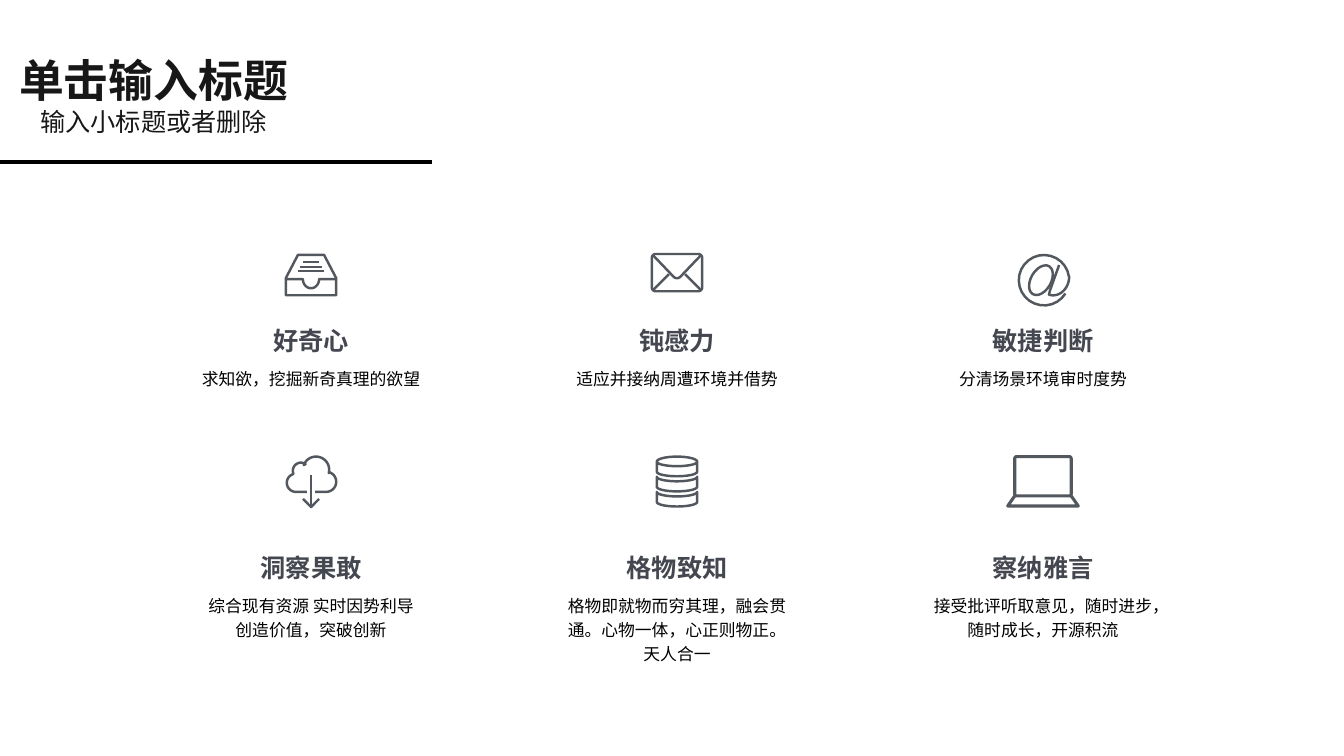
"""Build a slide with six personal qualities, each with a line icon, a heading and a note."""
from dataclasses import dataclass
from math import cos, radians, sin

from lxml.etree import SubElement
from pptx import Presentation
from pptx.dml.color import RGBColor
from pptx.enum.shapes import MSO_CONNECTOR
from pptx.enum.text import MSO_ANCHOR, MSO_AUTO_SIZE, PP_ALIGN
from pptx.oxml.ns import qn
from pptx.slide import Slide
from pptx.text.text import TextFrame
from pptx.util import Inches, Pt

Point = tuple[float, float]
Contour = list[Point]


@dataclass(frozen=True)
class Theme:
    font: str = "Arial"
    title: RGBColor = RGBColor(0x18, 0x17, 0x17)
    heading: RGBColor = RGBColor(0x44, 0x47, 0x4F)
    text: RGBColor = RGBColor(0, 0, 0)
    icon: RGBColor = RGBColor(0x53, 0x58, 0x5F)
    title_size: int = 32
    heading_size: int = 18
    note_size: int = 12


@dataclass(frozen=True)
class Icon:
    contours: list[Contour]
    weight: float = 1.75


@dataclass(frozen=True)
class Quality:
    heading: str
    note: str
    icon: Icon


@dataclass(frozen=True)
class Row:
    icon_top: float
    heading_top: float
    note_height: float


THEME = Theme()
FIRST_CENTER, COLUMN_STEP = 3.085, 3.63
ROWS = [Row(2.51, 3.14, 0.34), Row(4.51, 5.39, 0.58)]


def arc(x: float, y: float, radius_x: float, radius_y: float,
        start: int, end: int, tilt: int = 0) -> Contour:
    """Return points along an elliptical arc, with angles running clockwise."""
    steps = 24
    turn = radians(tilt)
    points = []
    for step in range(steps + 1):
        angle = radians(start + (end - start) * step / steps)
        across, down = radius_x * cos(angle), radius_y * sin(angle)
        points.append((x + across * cos(turn) - down * sin(turn),
                       y + across * sin(turn) + down * cos(turn)))
    return points


def rounded_box(half_width: float, top: float, bottom: float, radius: float) -> Contour:
    """Return a closed rounded rectangle centred on the vertical axis."""
    side = half_width - radius
    corners = [(side, bottom - radius), (-side, bottom - radius),
               (-side, top + radius), (side, top + radius)]
    points = [point for index, (x, y) in enumerate(corners)
              for point in arc(x, y, radius, radius, 90 * index, 90 * index + 90)]
    return points + points[:1]


def mirror(contour: Contour) -> Contour:
    """Reflect a contour in the vertical axis."""
    return [(-x, y) for x, y in contour]


def disk(top: float, bottom: float) -> Contour:
    """Return the curved side of one storage disk."""
    side = arc(0, top, 0.2, 0.045, 0, 180) + arc(0, bottom, 0.2, 0.045, 180, 0)
    return side + side[:1]


TRAY = Icon([
    [(-0.25, 0.42), (-0.25, 0.25), (-0.13, 0.02), (0.13, 0.02),
     (0.25, 0.25), (0.25, 0.42), (-0.25, 0.42)],
    [(-0.25, 0.26), *arc(0, 0.26, 0.08, 0.09, 180, 0), (0.25, 0.26)],
    *[[(-half, y), (half, y)] for half, y in [(0.13, 0.18), (0.11, 0.14), (0.08, 0.09)]],
])
FOLD = [(-0.24, 0.37), (-0.08, 0.21)]
ENVELOPE = Icon([
    rounded_box(0.25, 0.01, 0.38, 0.04), FOLD, mirror(FOLD),
    [(-0.24, 0.02), *arc(0, 0.22, 0.04, 0.03, 150, 30), (0.24, 0.02)],
])
AT_SIGN = Icon([
    arc(0.01, 0.27, 0.25, 0.25, 32, 352) + arc(0.1, 0.23, 0.16, 0.19, 0, 105)
    + [(0.07, 0.37), (0.16, 0.12)],
    arc(-0.02, 0.27, 0.1, 0.16, 0, 360, 30),
])
CLOUD = Icon([
    [(-0.04, 0.37), *arc(-0.15, 0.28, 0.09, 0.09, 90, 250),
     *arc(-0.1, 0.16, 0.08, 0.08, 160, 305), *arc(0.05, 0.15, 0.13, 0.13, 200, 375),
     *arc(0.15, 0.27, 0.1, 0.1, 290, 450), (0.04, 0.37)],
    [(0, 0.2), (0, 0.51)],
    [(-0.08, 0.44), (0, 0.52), (0.08, 0.44)],
])
DATABASE = Icon([arc(0, 0.07, 0.2, 0.05, 180, 360),
                 *[disk(top, top + 0.1) for top in (0.07, 0.22, 0.37)]])
LAPTOP = Icon([
    rounded_box(0.28, 0.02, 0.41, 0.02),
    [(-0.28, 0.41), (-0.35, 0.51), (0.35, 0.51), (0.28, 0.41)],
], 2.25)

QUALITIES = [
    Quality("好奇心", "求知欲，挖掘新奇真理的欲望", TRAY),
    Quality("钝感力", "适应并接纳周遭环境并借势", ENVELOPE),
    Quality("敏捷判断", "分清场景环境审时度势", AT_SIGN),
    Quality("洞察果敢", "综合现有资源 实时因势利导创造价值，突破创新", CLOUD),
    Quality("格物致知", "格物即就物而穷其理，融会贯通。心物一体，心正则物正。天人合一", DATABASE),
    Quality("察纳雅言", "接受批评听取意见，随时进步，随时成长，开源积流", LAPTOP),
]


def write(frame: TextFrame, lines: list[tuple[str, int, bool]], color: RGBColor,
          spacing: float = 1.0) -> None:
    """Fill a text frame with centred paragraphs of the given size and weight."""
    for index, (text, size, bold) in enumerate(lines):
        paragraph = frame.add_paragraph() if index else frame.paragraphs[0]
        paragraph.text = text
        paragraph.alignment = PP_ALIGN.CENTER
        paragraph.line_spacing = spacing
        font = paragraph.font
        font.name, font.size, font.bold = THEME.font, Pt(size), bold
        font.color.rgb = color


def add_title(slide: Slide) -> None:
    """Place the title with its subtitle and the rule below."""
    title = slide.shapes.title
    title.left, title.top = Inches(0), Inches(0.47)
    title.width, title.height = Inches(3.05), Inches(0.94)
    frame = title.text_frame
    frame.vertical_anchor, frame.auto_size = MSO_ANCHOR.TOP, MSO_AUTO_SIZE.SHAPE_TO_FIT_TEXT
    write(frame, [("单击输入标题", THEME.title_size, True),
                  ("输入小标题或者删除", THEME.heading_size, False)], THEME.title)
    rule = slide.shapes.add_connector(
        MSO_CONNECTOR.STRAIGHT, Inches(0), Inches(1.61), Inches(4.28), Inches(1.61))
    rule.line.color.rgb, rule.line.width = THEME.text, Pt(3)
    SubElement(rule._element.spPr, qn("a:effectLst"))


def add_icon(slide: Slide, icon: Icon, center: float, top: float) -> None:
    """Draw an icon as one outlined freeform."""
    builder = None
    for contour in icon.contours:
        start, *rest = [(Inches(center + x), Inches(top + y)) for x, y in contour]
        if builder is None:
            builder = slide.shapes.build_freeform(*start)
        else:
            builder.move_to(*start)
        builder.add_line_segments(rest, close=contour[0] == contour[-1])
    shape = builder.convert_to_shape()
    shape.shadow.inherit = False
    shape.fill.background()
    shape.line.color.rgb, shape.line.width = THEME.icon, Pt(icon.weight)


def add_box(slide: Slide, center: float, top: float, width: float, height: float) -> TextFrame:
    """Add a text box centred on a column and return its frame."""
    box = slide.shapes.add_textbox(
        Inches(center - width / 2), Inches(top), Inches(width), Inches(height))
    box.text_frame.auto_size = MSO_AUTO_SIZE.SHAPE_TO_FIT_TEXT
    return box.text_frame


def add_quality(slide: Slide, quality: Quality, center: float, row: Row) -> None:
    """Draw one cell of the grid."""
    add_icon(slide, quality.icon, center, row.icon_top)
    heading = add_box(slide, center, row.heading_top, 0.12 + 0.25 * len(quality.heading), 0.44)
    heading.word_wrap, heading.vertical_anchor = False, MSO_ANCHOR.MIDDLE
    heading.margin_left = heading.margin_right = Inches(0.06)
    heading.margin_top = heading.margin_bottom = Inches(0.06)
    write(heading, [(quality.heading, THEME.heading_size, True)], THEME.heading, 1.1)
    note = add_box(slide, center, row.heading_top + 0.43, 2.39, row.note_height)
    note.word_wrap = True
    write(note, [(quality.note, THEME.note_size, False)], THEME.text, 1.2)


def main() -> None:
    """Build and save the presentation."""
    presentation = Presentation()
    presentation.slide_width, presentation.slide_height = Inches(13.33), Inches(7.5)
    slide = presentation.slides.add_slide(presentation.slide_layouts[5])
    add_title(slide)
    for index, quality in enumerate(QUALITIES):
        row, column = divmod(index, 3)
        add_quality(slide, quality, FIRST_CENTER + column * COLUMN_STEP, ROWS[row])
    presentation.save("out.pptx")


if __name__ == "__main__":
    main()
